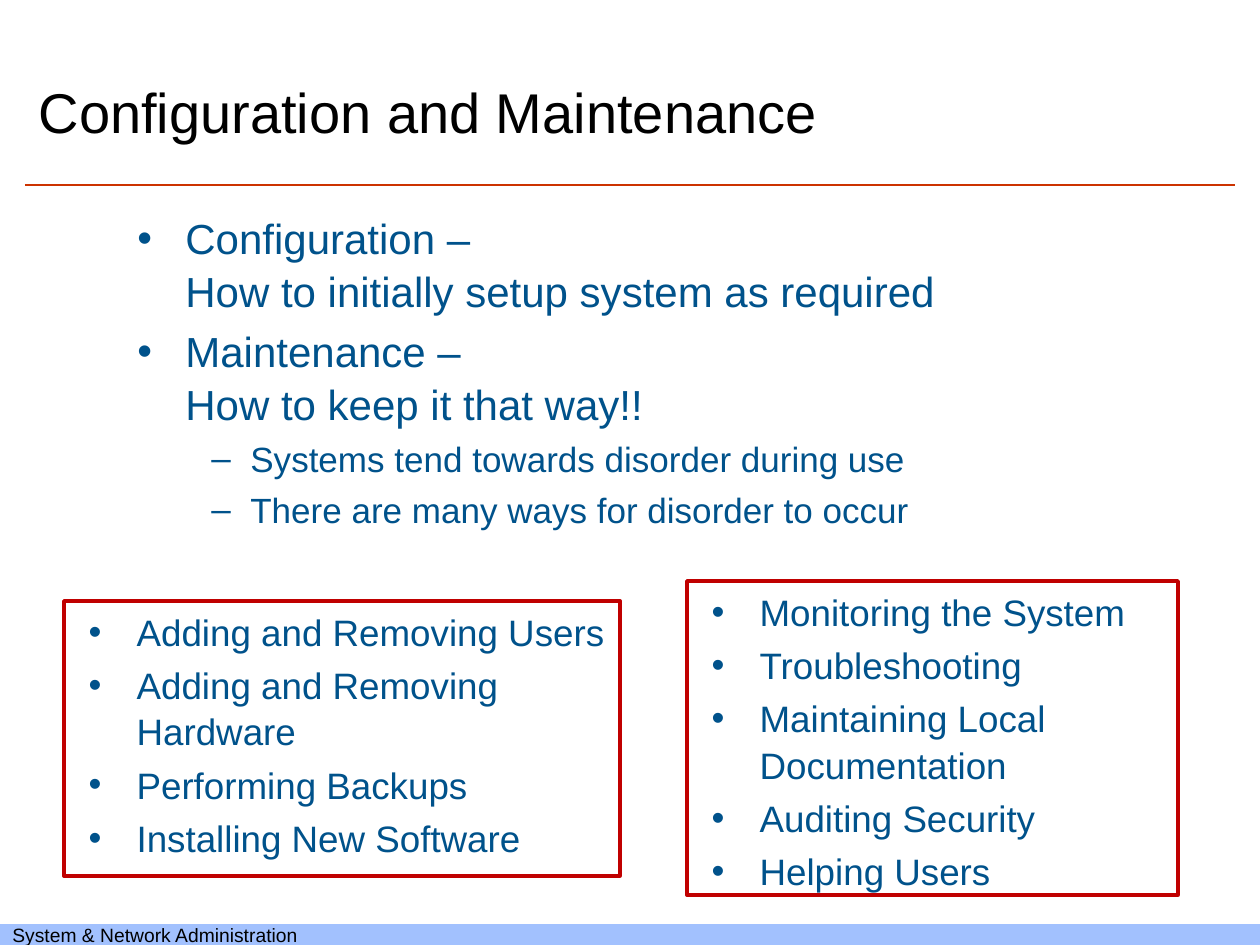
from lxml import etree
from pptx import Presentation
from pptx import util as u
from pptx.dml.color import RGBColor
from pptx.enum import shapes, text
from pptx.oxml import ns

PIXEL = u.Inches(1) / 126
INK = RGBColor(0x00, 0x00, 0x00)
BLUE = RGBColor(0x00, 0x52, 0x8B)
BAR = RGBColor(0xA2, 0xC1, 0xFE)
RULE = RGBColor(0xCC, 0x33, 0x00)
FRAME = RGBColor(0xC0, 0x00, 0x00)

BULLETS = [("•", 60, -48), ("–", 125, -39)]
POINTS = [
    (0, 24, ["Configuration –", "How to initially setup system as required"]),
    (0, 24, ["Maintenance –", "How to keep it that way!!"]),
    (1, 20, ["Systems tend towards disorder during use"]),
    (1, 20, ["There are many ways for disorder to occur"]),
]
TASKS = [
    ((64, 601, 556, 275), ["Adding and Removing Users", "Adding and Removing Hardware",
                           "Performing Backups", "Installing New Software"]),
    ((687, 581, 491, 314), ["Monitoring the System", "Troubleshooting",
                            "Maintaining Local Documentation", "Auditing Security",
                            "Helping Users"]),
]


def px(*lengths):
    return [u.Emu(round(length * PIXEL)) for length in lengths]


def write(box, entries, color, bulleted=True, spacing=1.05):
    frame = box.text_frame
    frame.word_wrap = True
    frame.auto_size = text.MSO_AUTO_SIZE.NONE
    for index, (level, size, lines) in enumerate(entries):
        para = frame.add_paragraph() if index else frame.paragraphs[0]
        para.alignment = text.PP_ALIGN.LEFT
        para.level = level
        para.line_spacing = spacing
        para.space_before = u.Pt(4 if bulleted else 0)
        for number, line in enumerate(lines):
            if number:
                para.add_line_break()
            span = para.add_run()
            span.text = line
            span.font.name = "Arial"
            span.font.size = u.Pt(size)
            span.font.color.rgb = color
        if bulleted:
            mark, margin, indent = BULLETS[level]
            props = para._p.get_or_add_pPr()
            for name, length in zip(("marL", "indent"), px(margin, indent)):
                props.set(name, str(length))
            etree.SubElement(props, ns.qn("a:buFont")).set("typeface", "Arial")
            etree.SubElement(props, ns.qn("a:buChar")).set("char", mark)


deck = Presentation()
deck.slide_width, deck.slide_height = px(1260, 945)
page = deck.slides.add_slide(deck.slide_layouts[3])

title = page.shapes.title
title.left, title.top, title.width, title.height = px(26, 65, 906, 101)
title.text_frame.vertical_anchor = text.MSO_ANCHOR.TOP
write(title, [(0, 32, ["Configuration and Maintenance"])], INK, False, 1.1)

for index, (area, tasks) in enumerate(TASKS, 1):
    box = page.placeholders[index]
    box.left, box.top, box.width, box.height = px(*area)
    box.line.color.rgb = FRAME
    box.line.width = u.Pt(2)
    write(box, [(0, 21, [task]) for task in tasks], BLUE)

points = page.shapes.add_textbox(*px(113, 204, 930, 348))
write(points, POINTS, BLUE)

bar = page.shapes.add_shape(shapes.MSO_SHAPE.RECTANGLE, *px(0, 924, 1260, 21))
bar.shadow.inherit = False
bar.fill.solid()
bar.fill.fore_color.rgb = BAR
bar.line.fill.background()
bar.text_frame.margin_top = bar.text_frame.margin_bottom = 0
bar.text_frame.vertical_anchor = text.MSO_ANCHOR.MIDDLE
write(bar, [(0, 11, ["System & Network Administration"])], INK, False, 1.0)

rule = page.shapes.add_connector(shapes.MSO_CONNECTOR.STRAIGHT, *px(25, 185, 1235, 185))
rule.line.color.rgb = RULE
rule.line.width = u.Pt(1.5)
etree.SubElement(rule._element.spPr, ns.qn("a:effectLst"))

deck.save("out.pptx")
